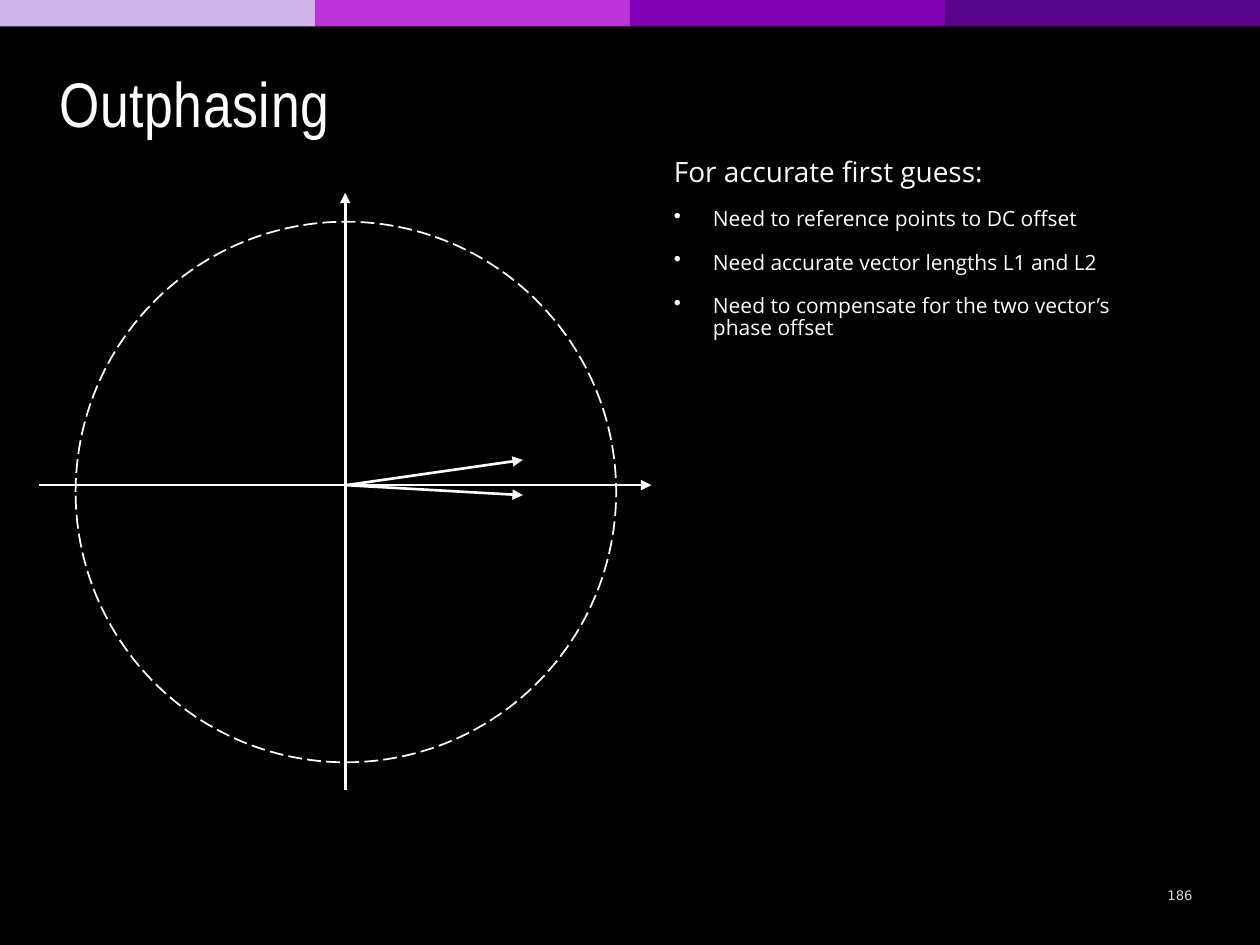
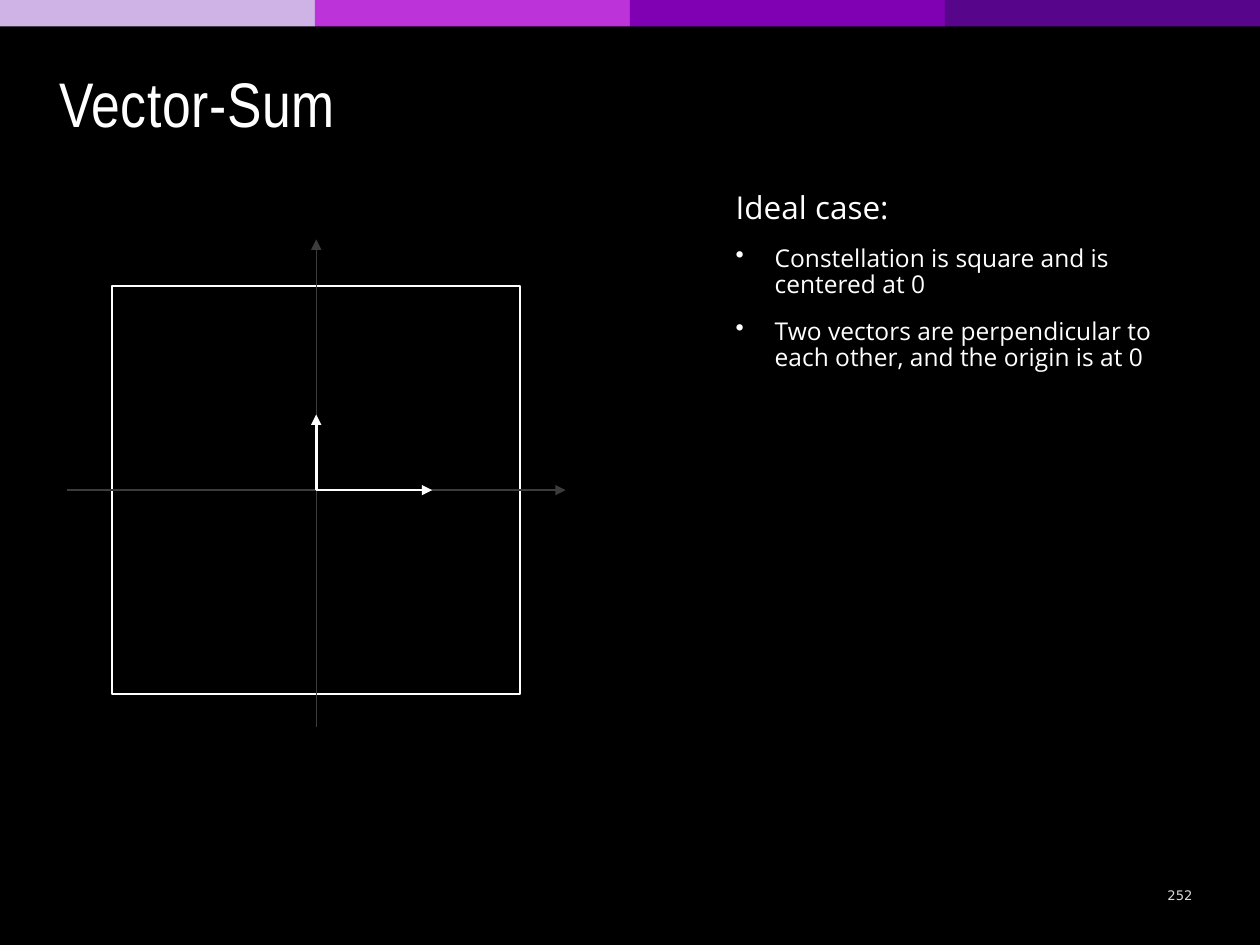
from lxml.etree import SubElement
from pptx import Presentation
from pptx.dml.color import RGBColor
from pptx.enum.dml import MSO_LINE
from pptx.enum.shapes import MSO_CONNECTOR, MSO_SHAPE
from pptx.enum.text import MSO_ANCHOR, MSO_AUTO_SIZE, PP_ALIGN
from pptx.oxml.ns import qn
from pptx.util import Inches, Pt

THEME = {
    "background": RGBColor.from_string("000000"),
    "bands": [RGBColor.from_string(c) for c in ("CFB3E6", "BD33DA", "8000B3", "57058A")],
    "ink": RGBColor.from_string("FFFFFF"),
    "axis": RGBColor.from_string("3C3C3C"),
    "number": RGBColor.from_string("D9D9D9"),
    "title_font": "Arial Narrow",
    "body_font": "Open Sans",
    "number_font": "DejaVu Sans",
    "title_size": 36,
    "number_size": 7.5,
    "outline_width": 1,
    "vector_width": 1.5,
}
BAND_WIDTH, BAND_HEIGHT = 2.5, 0.21
BULLET_INDENT = 0.31

SLIDES = [
    {
        "title": "Outphasing",
        "number": "186",
        "axes": [((0.31, 3.85), (5.17, 3.85)), ((2.74, 6.27), (2.74, 1.53))],
        "axis_color": THEME["ink"],
        "axis_width": 1.5,
        "vectors": [((2.74, 3.85), (4.15, 3.93)), ((2.75, 3.85), (4.15, 3.65))],
        "boundary": (MSO_SHAPE.OVAL, 0.6, 1.76, 4.29, MSO_LINE.LONG_DASH),
        "notes_box": (5.25, 1.21, 4.02, 1.68),
        "heading": "For accurate first guess:",
        "heading_size": 16,
        "bullets": [
            "Need to reference points to DC offset",
            "Need accurate vector lengths L1 and L2",
            "Need to compensate for the two vector’s phase offset",
        ],
        "bullet_size": 12,
    },
    {
        "title": "Vector-Sum",
        "number": "252",
        "axes": [((0.53, 3.89), (4.49, 3.89)), ((2.51, 5.77), (2.51, 1.9))],
        "axis_color": THEME["axis"],
        "axis_width": 0.75,
        "vectors": [((2.51, 3.89), (2.51, 3.29)), ((2.51, 3.89), (3.43, 3.89))],
        "boundary": (MSO_SHAPE.RECTANGLE, 0.89, 2.27, 3.24, MSO_LINE.SOLID),
        "notes_box": (5.74, 1.48, 3.72, 2.15),
        "heading": "Ideal case:",
        "heading_size": 18,
        "bullets": [
            "Constellation is square and is centered at 0",
            "Two vectors are perpendicular to each other, and the origin is at 0",
        ],
        "bullet_size": 14,
    },
]


def add_text_box(slide, box, frame_format):
    text_frame = slide.shapes.add_textbox(*map(Inches, box)).text_frame
    for name, value in {"word_wrap": True, **frame_format}.items():
        setattr(text_frame, name, value)
    return text_frame


def add_run(paragraph, text, font, size, color):
    run = paragraph.add_run()
    run.text = text
    for name, value in {"name": font, "size": Pt(size)}.items():
        setattr(run.font, name, value)
    run.font.color.rgb = color
    return run


presentation = Presentation()
presentation.slide_width, presentation.slide_height = Inches(10), Inches(7.5)

for content in SLIDES:
    slide = presentation.slides.add_slide(presentation.slide_layouts[6])
    slide.background.fill.solid()
    slide.background.fill.fore_color.rgb = THEME["background"]

    for index, color in enumerate(THEME["bands"]):
        band = slide.shapes.add_shape(
            MSO_SHAPE.RECTANGLE, Inches(index * BAND_WIDTH), 0,
            Inches(BAND_WIDTH), Inches(BAND_HEIGHT))
        band.shadow.inherit = False
        band.fill.solid()
        band.fill.fore_color.rgb = color
        band.line.fill.background()

    number_frame = add_text_box(
        slide, (9.14, 6.97, 0.45, 0.27), {"vertical_anchor": MSO_ANCHOR.MIDDLE})
    number = number_frame.paragraphs[0]
    number.alignment = PP_ALIGN.CENTER
    add_run(number, content["number"], THEME["number_font"],
            THEME["number_size"], THEME["number"])

    title_frame = add_text_box(
        slide, (0.47, 0.5, 8.62, 0.66),
        {"vertical_anchor": MSO_ANCHOR.BOTTOM, "margin_left": 0})
    title = add_run(title_frame.paragraphs[0], content["title"], THEME["title_font"],
                    THEME["title_size"], THEME["ink"])
    title.font._element.set("spc", "40")

    shape_kind, left, top, side, dash = content["boundary"]
    boundary = slide.shapes.add_shape(
        shape_kind, Inches(left), Inches(top), Inches(side), Inches(side))
    boundary.shadow.inherit = False
    boundary.fill.background()
    boundary.line.color.rgb = THEME["ink"]
    boundary.line.width = Pt(THEME["outline_width"])
    boundary.line.dash_style = dash

    arrows = [(*ends, content["axis_color"], content["axis_width"]) for ends in content["axes"]]
    arrows += [(*ends, THEME["ink"], THEME["vector_width"]) for ends in content["vectors"]]
    for start, end, color, width in arrows:
        arrow = slide.shapes.add_connector(
            MSO_CONNECTOR.STRAIGHT, *map(Inches, start + end))
        arrow.line.color.rgb = color
        arrow.line.width = Pt(width)
        SubElement(arrow.line._get_or_add_ln(), qn("a:tailEnd"), type="triangle")
        SubElement(arrow._element.spPr, qn("a:effectLst"))

    notes_frame = add_text_box(
        slide, content["notes_box"], {"auto_size": MSO_AUTO_SIZE.SHAPE_TO_FIT_TEXT})
    heading = notes_frame.paragraphs[0]
    heading.line_spacing = 0.88
    add_run(heading, content["heading"], THEME["body_font"],
            content["heading_size"], THEME["ink"])
    for text in content["bullets"]:
        bullet = notes_frame.add_paragraph()
        for name, value in {"line_spacing": 0.88, "space_before": Pt(12)}.items():
            setattr(bullet, name, value)
        properties = bullet._p.get_or_add_pPr()
        properties.set("marL", str(Inches(BULLET_INDENT)))
        properties.set("indent", str(-Inches(BULLET_INDENT)))
        SubElement(properties, qn("a:buChar"), char="•")
        add_run(bullet, text, THEME["body_font"], content["bullet_size"], THEME["ink"])

presentation.save("out.pptx")
